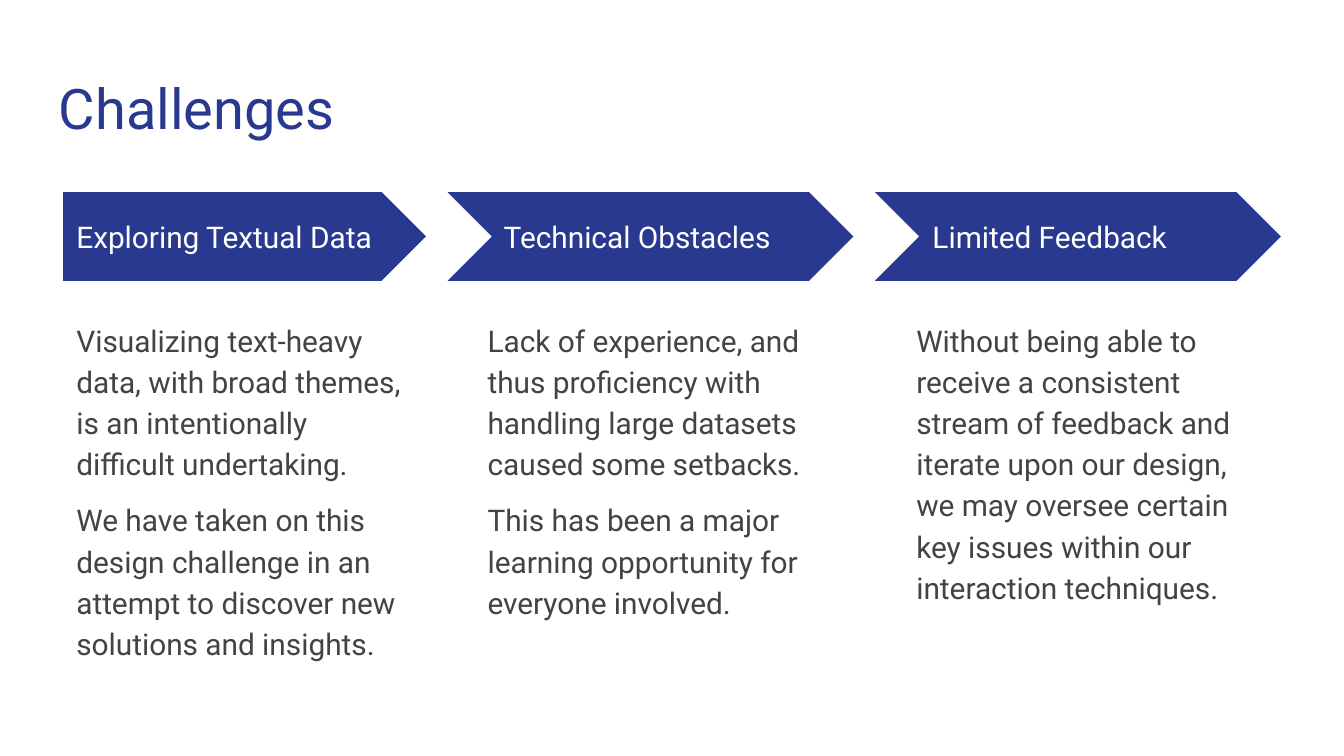
from pptx import Presentation
from pptx.dml.color import RGBColor
from pptx.enum.shapes import MSO_SHAPE
from pptx.enum.text import MSO_ANCHOR
from pptx.util import Inches, Pt

NAVY = RGBColor(0x2A, 0x39, 0x90)
GRAY = RGBColor(0x43, 0x43, 0x43)
WHITE = RGBColor(0xFF, 0xFF, 0xFF)
PENTAGON = MSO_SHAPE.PENTAGON
CHEVRON = MSO_SHAPE.CHEVRON
TOP = MSO_ANCHOR.TOP
MIDDLE = MSO_ANCHOR.MIDDLE

TITLE = {"size": Pt(30), "color": NAVY}
HEADING = {"size": Pt(16), "color": WHITE}
BODY = {"size": Pt(16), "color": GRAY}

COLUMNS = [
    (PENTAGON, (0.47, 2.7), 0.47, 0.47, "Exploring Textual Data", [
        "Visualizing text-heavy data, with broad themes, is an intentionally difficult undertaking.",
        "We have taken on this design challenge in an attempt to discover new solutions and insights.",
    ]),
    (CHEVRON, (3.33, 3.02), 3.65, 3.53, "Technical Obstacles", [
        "Lack of experience, and thus proficiency with handling large datasets caused some setbacks.",
        "This has been a major learning opportunity for everyone involved.",
    ]),
    (CHEVRON, (6.51, 3.02), 6.84, 6.72, "Limited Feedback", [
        "Without being able to receive a consistent stream of feedback and iterate upon our design, "
        "we may oversee certain key issues within our interaction techniques.",
    ]),
]


class SlideBuilder:
    font_name = "Roboto"
    inset = Inches(0.1)

    def __init__(self, slide):
        self.slide = slide

    def arrow(self, kind, left, top, width, height):
        arrow = self.slide.shapes.add_shape(
            kind, Inches(left), Inches(top), Inches(width), Inches(height))
        arrow.adjustments[0] = 0.5
        arrow.shadow.inherit = False
        arrow.fill.solid()
        arrow.fill.fore_color.rgb = NAVY
        arrow.line.fill.background()

    def text(self, left, top, width, height, paragraphs, style,
             anchor=TOP, line_spacing=1.0):
        box = self.slide.shapes.add_textbox(
            Inches(left), Inches(top), Inches(width), Inches(height))
        frame = box.text_frame
        frame_format = {"word_wrap": True, "vertical_anchor": anchor}
        for side in ("left", "top", "right", "bottom"):
            frame_format[f"margin_{side}"] = self.inset
        for name, value in frame_format.items():
            setattr(frame, name, value)
        for index, words in enumerate(paragraphs):
            para = frame.add_paragraph() if index else frame.paragraphs[0]
            para.line_spacing = line_spacing
            para.space_before = Pt(8 if index else 0)
            span = para.add_run()
            span.text = words
            span.font.name = self.font_name
            span.font.size = style["size"]
            span.font.color.rgb = style["color"]


def main():
    deck = Presentation()
    deck.slide_width = Inches(10)
    deck.slide_height = Inches(10) * 9 // 16
    builder = SlideBuilder(deck.slides.add_slide(deck.slide_layouts[6]))
    builder.text(0.34, 0.45, 9.32, 0.66, ["Challenges"], TITLE)
    for kind, (left, width), heading_left, body_left, heading, body in COLUMNS:
        builder.arrow(kind, left, 1.43, width, 0.66)
        builder.text(heading_left, 1.59, 2.47, 0.34, [heading], HEADING, anchor=MIDDLE)
        builder.text(body_left, 2.26, 2.7, 2.9, body, BODY, line_spacing=1.15)
    deck.save("out.pptx")


if __name__ == "__main__":
    main()
